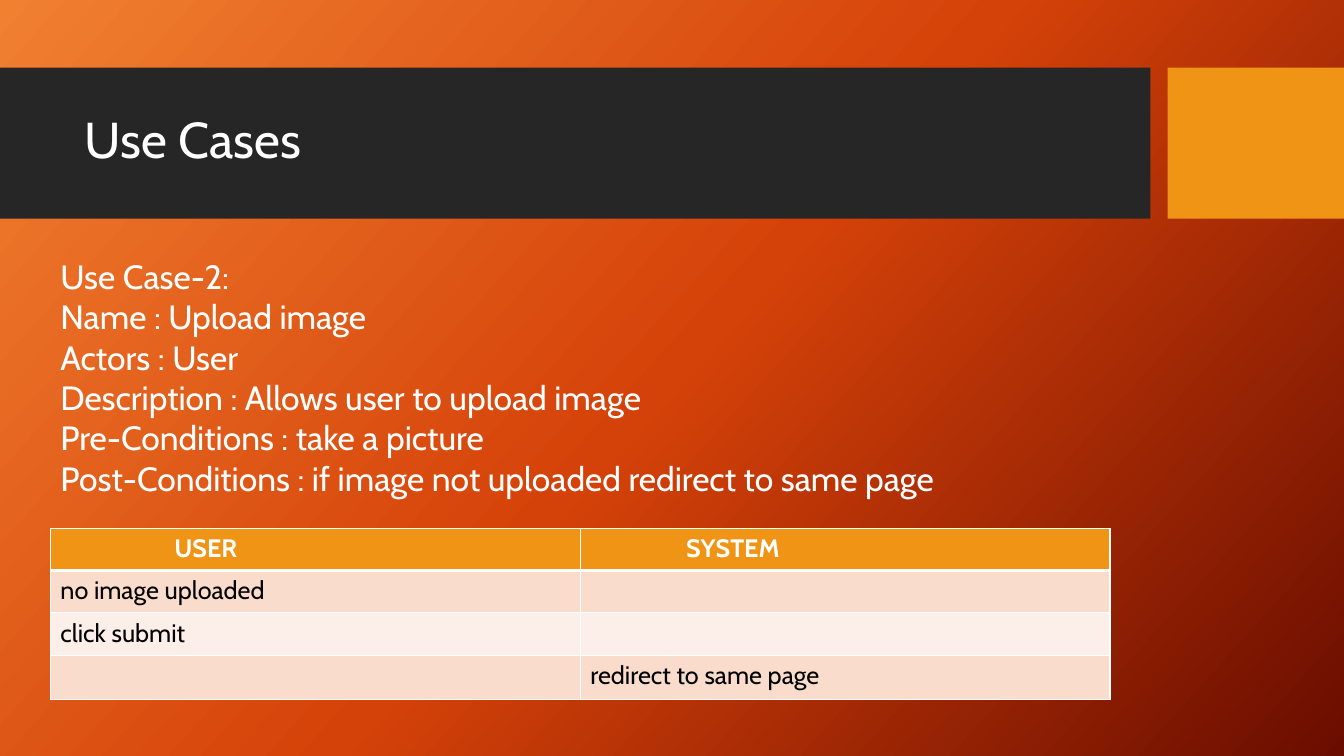
import pptx
import pptx.dml.color
import pptx.enum.shapes
import pptx.enum.text
import pptx.oxml
import pptx.oxml.ns
import pptx.util

TITLE = "Use Cases"
USE_CASE = [
    "Use Case-2:",
    "Name : Upload image",
    "Actors : User",
    "Description : Allows user to upload image",
    "Pre-Conditions : take a picture",
    "Post-Conditions : if image not uploaded redirect to same page",
]
STEPS = [
    ("USER", "SYSTEM"),
    ("no image uploaded", ""),
    ("click submit", ""),
    ("", "redirect to same page"),
]
HEADING_INDENTS = (1.23, 1.05)
ROW_HEIGHTS = (0.42, 0.42, 0.42, 0.44)

THEME = {
    "font": "Cabin",
    "title": 36, "body": 24, "table": 18,
    "white": "FFFFFF", "black": "000000", "band": "262626", "accent": "F09415",
    "rows": ("F9DCCC", "FCEEE8"),
    "backdrop": ((0, "F18031"), (50, "D54209"), (100, "6A0D00")),
    "angle": 42,
}
WIDTH, HEIGHT = 13.33, 7.5
LEFT, CONTENT_WIDTH = 0.5, 10.51
BAND_TOP, BAND_HEIGHT = 0.67, 1.5
BAND_WIDTH, ACCENT_WIDTH = 11.41, 1.75

inches = pptx.util.Inches
rgb = pptx.dml.color.RGBColor.from_string


def write(frame, text, size, color, bold=False, spacing=None):
    for index, line in enumerate(text.split("\n")):
        paragraph = frame.paragraphs[0] if index == 0 else frame.add_paragraph()
        paragraph.line_spacing = spacing
        run = paragraph.add_run()
        run.text = line
        run.font.name = THEME["font"]
        run.font.size = pptx.util.Pt(size)
        run.font.bold = bold
        run.font.color.rgb = rgb(color)


def add_text(slide, box, text, anchor=pptx.enum.text.MSO_ANCHOR.TOP, **style):
    frame = slide.shapes.add_textbox(*map(inches, box)).text_frame
    frame.word_wrap = True
    frame.vertical_anchor = anchor
    write(frame, text, **style)


def add_band(slide, left, width, color):
    band = slide.shapes.add_shape(
        pptx.enum.shapes.MSO_SHAPE.RECTANGLE,
        *map(inches, (left, BAND_TOP, width, BAND_HEIGHT)))
    band.shadow.inherit = False
    band.fill.solid()
    band.fill.fore_color.rgb = rgb(color)
    band.line.fill.background()


def paint_backdrop(slide):
    fill = slide.background.fill
    fill.gradient()
    fill.gradient_angle = 360 - THEME["angle"]
    stops = fill.gradient_stops[0]._gs.getparent()
    for stop in list(stops):
        stops.remove(stop)
    for position, color in THEME["backdrop"]:
        stops.append(pptx.oxml.parse_xml(
            f'<a:gs {pptx.oxml.ns.nsdecls("a")} pos="{position * 1000}">'
            f'<a:srgbClr val="{color}"/></a:gs>'))


def add_borders(cell, bottom):
    widths = {"lnL": 1, "lnR": 1, "lnT": 1, "lnB": bottom}
    for index, (side, width) in enumerate(widths.items()):
        cell._tc.get_or_add_tcPr().insert(index, pptx.oxml.parse_xml(
            f'<a:{side} {pptx.oxml.ns.nsdecls("a")} w="{pptx.util.Pt(width)}">'
            f'<a:solidFill><a:srgbClr val="{THEME["white"]}"/></a:solidFill></a:{side}>'))


def add_steps(slide, top):
    table = slide.shapes.add_table(
        len(STEPS), len(STEPS[0]),
        *map(inches, (LEFT, top, CONTENT_WIDTH, sum(ROW_HEIGHTS)))).table
    table.horz_banding = False
    for row, texts in enumerate(STEPS):
        heading = row == 0
        table.rows[row].height = inches(ROW_HEIGHTS[row])
        for column, text in enumerate(texts):
            cell = table.cell(row, column)
            cell.fill.solid()
            cell.fill.fore_color.rgb = rgb(
                THEME["accent"] if heading else THEME["rows"][(row - 1) % 2])
            add_borders(cell, bottom=3 if heading else 1)
            if heading:
                cell.margin_left = inches(HEADING_INDENTS[column])
            if text:
                write(cell.text_frame, text, size=THEME["table"], bold=heading,
                      color=THEME["white" if heading else "black"])


def main():
    deck = pptx.Presentation()
    deck.slide_width, deck.slide_height = inches(WIDTH), inches(HEIGHT)
    slide = deck.slides.add_slide(deck.slide_layouts[6])
    paint_backdrop(slide)
    add_band(slide, 0, BAND_WIDTH, THEME["band"])
    add_band(slide, WIDTH - ACCENT_WIDTH, ACCENT_WIDTH, THEME["accent"])
    add_text(slide, (0.74, 0.82, CONTENT_WIDTH, 1.18), TITLE,
             anchor=pptx.enum.text.MSO_ANCHOR.MIDDLE,
             size=THEME["title"], color=THEME["white"], spacing=0.9)
    add_steps(slide, top=5.24)
    add_text(slide, (LEFT, 2.49, 9.88, 2.52), "\n".join(USE_CASE),
             size=THEME["body"], color=THEME["white"])
    deck.save("out.pptx")


if __name__ == "__main__":
    main()
